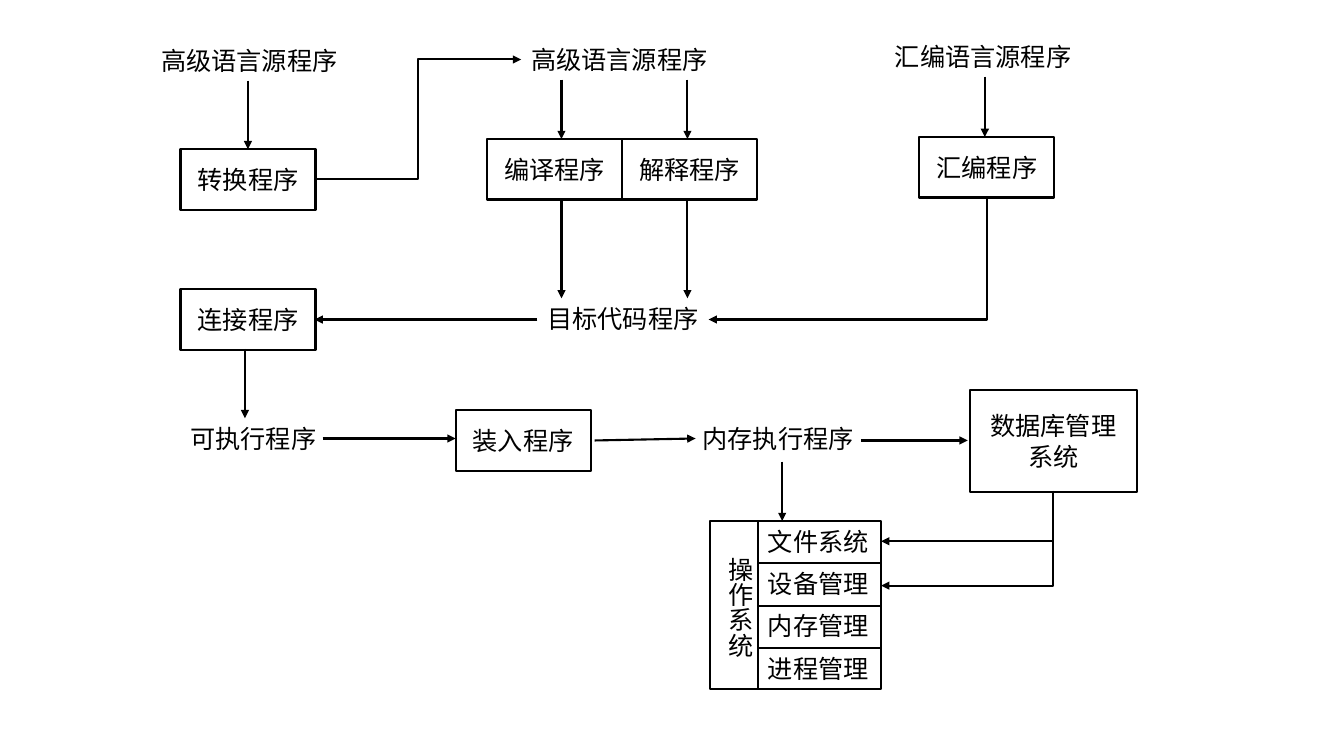
from dataclasses import dataclass

from lxml import etree
from pptx import Presentation
from pptx.dml.color import RGBColor
from pptx.enum.shapes import MSO_CONNECTOR, MSO_SHAPE
from pptx.enum.text import MSO_ANCHOR, PP_ALIGN
from pptx.oxml.ns import qn
from pptx.shapes.shapetree import SlideShapes
from pptx.util import Inches, Pt

BLACK = RGBColor(0, 0, 0)
FONT = "Noto Sans CJK SC"
FONT_SIZE = Pt(18)
LINE_WIDTH = Pt(1.5)
STRAIGHT, ELBOW = MSO_CONNECTOR.STRAIGHT, MSO_CONNECTOR.ELBOW
RECTANGLE = MSO_SHAPE.RECTANGLE
CENTER, LEFT = PP_ALIGN.CENTER, PP_ALIGN.LEFT
MIDDLE, TOP = MSO_ANCHOR.MIDDLE, MSO_ANCHOR.TOP

COLUMNS, ROWS = 133.33, 75
SLIDE_WIDTH, SLIDE_HEIGHT = Inches(13.33), Inches(7.5)
LABEL_WIDTH, LABEL_HEIGHT = 21.7, 4
PROCESS_WIDTH, PROCESS_HEIGHT = 13.4, 6


def columns(count):
    return round(SLIDE_WIDTH * count / COLUMNS)


def rows(count):
    return round(SLIDE_HEIGHT * count / ROWS)


def write_text(shape, text, alignment, anchor):
    frame = shape.text_frame
    frame.text = text
    frame.word_wrap = True
    frame.vertical_anchor = anchor
    paragraph = frame.paragraphs[0]
    paragraph.alignment = alignment
    font = paragraph.runs[0].font
    font.name, font.size = FONT, FONT_SIZE
    font.color.rgb = BLACK
    properties = paragraph.runs[0]._r.get_or_add_rPr()
    etree.SubElement(properties, qn("a:ea")).set("typeface", FONT)


@dataclass
class Region:
    shapes: SlideShapes
    left: float
    top: float

    def place(self, x, y, width, height):
        return columns(self.left + x), rows(self.top + y), columns(width), rows(height)

    def label(self, text, x, y, width=LABEL_WIDTH, height=LABEL_HEIGHT):
        box = self.shapes.add_textbox(*self.place(x, y, width, height))
        write_text(box, text, LEFT, TOP)
        return box

    def outline(self, x, y, width, height):
        shape = self.shapes.add_shape(RECTANGLE, *self.place(x, y, width, height))
        shape.shadow.inherit = False
        shape.fill.background()
        shape.line.color.rgb = BLACK
        shape.line.width = LINE_WIDTH
        return shape

    def process(self, text, x, y, width=PROCESS_WIDTH, height=PROCESS_HEIGHT):
        write_text(self.outline(x, y, width, height), text, CENTER, MIDDLE)

    def line(self, start, end, kind=STRAIGHT):
        begin, finish = self.place(*start, *start)[:2], self.place(*end, *end)[:2]
        connector = self.shapes.add_connector(kind, *begin, *finish)
        connector.line.color.rgb = BLACK
        connector.line.width = LINE_WIDTH
        etree.SubElement(connector._element.spPr, qn("a:effectLst"))
        return connector

    def arrow(self, start, end, kind=STRAIGHT):
        connector = self.line(start, end, kind)
        outline = connector.line._get_or_add_ln()
        etree.SubElement(outline, qn("a:tailEnd")).set("type", "triangle")
        return connector

    def down_then_left(self, start, end):
        center_x, center_y = (start[0] + end[0]) / 2, (start[1] + end[1]) / 2
        half_drop, half_run = (end[1] - start[1]) / 2, (start[0] - end[0]) / 2
        connector = self.arrow(
            (center_x - half_drop, center_y - half_run),
            (center_x + half_drop, center_y + half_run),
            ELBOW,
        )
        properties = connector._element.spPr
        properties.find(qn("a:xfrm")).set("rot", "5400000")
        properties.find(qn("a:prstGeom")).set("prst", "bentConnector2")


def draw_source(region, source, program, program_x, program_y, arrow_x):
    region.label(source, 0, 0)
    region.process(program, program_x, program_y)
    region.arrow((arrow_x, 4), (arrow_x, program_y))


def draw_translation(region):
    region.label("高级语言源程序", 3.4, 0)
    for index, program in enumerate(("编译程序", "解释程序")):
        region.process(program, index * PROCESS_WIDTH, 9.9)
    for x in (7.4, 19.9):
        region.arrow((x, 4), (x, 9.9))
        region.arrow((x, 15.9), (x, 25.7))
    region.label("目标代码程序", 5, 25.7)


def draw_linking(region):
    region.process("连接程序", 0, 0)
    region.arrow((6.4, 5.9), (6.4, 12.8))
    region.label("可执行程序", 0, 12.8)


def draw_loading(region):
    region.process("装入程序", 0, 2)
    region.arrow((13.8, 5), (23.8, 4.8))
    region.label("内存执行程序", 23.5, 2.8)
    region.arrow((40.2, 5), (50.8, 5))
    region.process("数据库管理系统", 51, 0, 16.6, 10.1)


def draw_operating_system(region):
    width, height, divider, pitch = 17, 16.7, 4.8, 4.2
    region.outline(0, 0, width, height)
    region.line((divider, 0), (divider, height))
    title = region.label("操作系统", 0, 2.6, 5, 12.4)
    title.text_frame._txBody.bodyPr.set("vert", "eaVert")
    for index, part in enumerate(("文件系统", "设备管理", "内存管理", "进程管理")):
        y = index * pitch
        region.label(part, divider, y, 20.2)
        if index:
            region.line((divider, y), (width, y))


def draw_links(region):
    region.arrow((31.2, 17.8), (51.7, 5.9), ELBOW)
    region.down_then_left((97.9, 19.5), (70.3, 31.7))
    region.arrow((53.3, 31.7), (31.2, 31.7))
    region.arrow((32, 43.5), (45.2, 43.5))
    region.arrow((77.6, 45.8), (77.6, 51.7))
    for y in (53.7, 58.1):
        region.down_then_left((104.5, 48.7), (87.4, y))


presentation = Presentation()
presentation.slide_width, presentation.slide_height = SLIDE_WIDTH, SLIDE_HEIGHT
slide = presentation.slides.add_slide(presentation.slide_layouts[6])
shapes = slide.shapes
draw_source(Region(shapes, 15, 4), "高级语言源程序", "转换程序", 2.9, 10.8, 9.6)
draw_translation(Region(shapes, 48.3, 3.9))
draw_source(Region(shapes, 87.8, 3.6), "汇编语言源程序", "汇编程序", 3.4, 10, 9.9)
draw_linking(Region(shapes, 17.9, 28.7))
draw_loading(Region(shapes, 45.2, 38.7))
draw_operating_system(Region(shapes, 70.4, 51.7))
draw_links(Region(shapes, 0, 0))
presentation.save("out.pptx")
